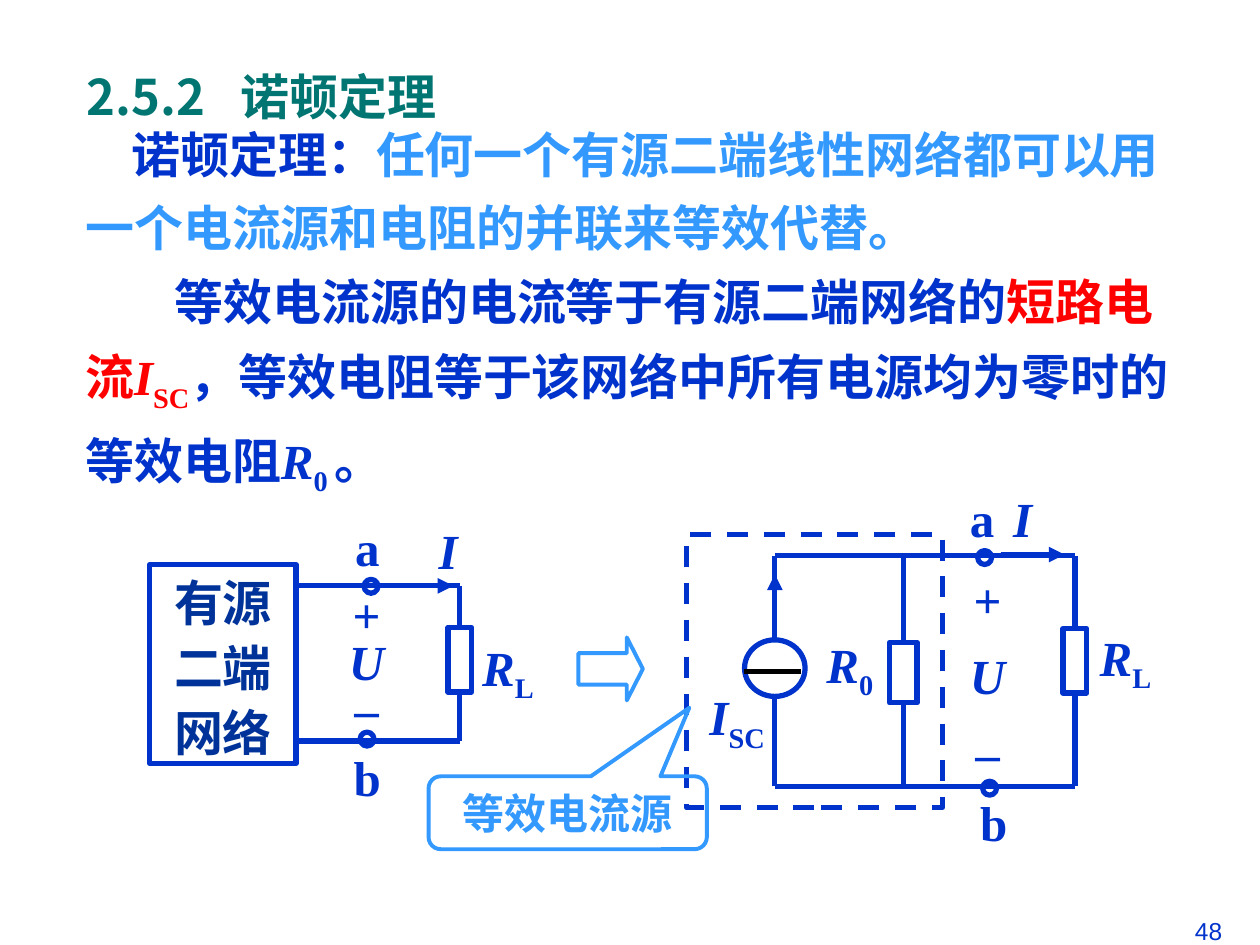
import pptx
import pptx.dml.color
import pptx.enum.dml
import pptx.enum.shapes
import pptx.enum.text
import pptx.oxml.ns
import pptx.util
from lxml import etree

Cm = pptx.util.Cm
Pt = pptx.util.Pt
RGBColor = pptx.dml.color.RGBColor
KIND = pptx.enum.shapes.MSO_SHAPE
STRAIGHT = pptx.enum.shapes.MSO_CONNECTOR.STRAIGHT
ALIGN = pptx.enum.text.PP_ALIGN
MIDDLE = pptx.enum.text.MSO_ANCHOR.MIDDLE
qn = pptx.oxml.ns.qn

BLUE = RGBColor(0x00, 0x33, 0xCC)
NAVY = RGBColor(0x00, 0x33, 0x99)
SKY = RGBColor(0x33, 0x99, 0xFF)
GREEN = RGBColor(0x00, 0x75, 0x72)
RED = RGBColor(0xFF, 0x00, 0x00)
BLACK = RGBColor(0x00, 0x00, 0x00)
WHITE = RGBColor(0xFF, 0xFF, 0xFF)
SERIF = "Times New Roman"
HAN = "Noto Sans CJK SC"

deck = pptx.Presentation()
deck.slide_width = Cm(25.4)
deck.slide_height = Cm(19.05)
page = deck.slides.add_slide(deck.slide_layouts[6])
shapes = page.shapes


def write(box, paras, align=ALIGN.LEFT, spacing=None, size=28, font=SERIF, bold=True, wrap=False):
    """Fill a box; each paragraph is a list of (text, colour, style), style being "", "italic" or "sub"."""
    frame = box.text_frame
    frame.word_wrap = wrap
    for number, spans in enumerate(paras):
        para = frame.add_paragraph() if number else frame.paragraphs[0]
        para.alignment = align
        para.line_spacing = spacing
        for text, colour, style in spans:
            span = para.add_run()
            span.text = text
            span.font.size = Pt(size)
            span.font.bold = bold
            span.font.italic = style == "italic"
            span.font.color.rgb = colour
            span.font.name = font
            properties = span._r.get_or_add_rPr()
            etree.SubElement(properties, qn("a:ea"), typeface=HAN)
            if style == "sub":
                properties.set("baseline", "-25000")


def outline(kind, left, top, width, height, colour=BLUE, weight=3):
    shape = shapes.add_shape(kind, Cm(left), Cm(top), Cm(width), Cm(height))
    shape.shadow.inherit = False
    shape.fill.background()
    shape.line.color.rgb = colour
    shape.line.width = Pt(weight)
    return shape


# Page number, heading and body
number_box = shapes.add_textbox(Cm(18.54), Cm(18.34), Cm(6.35), Cm(1.32))
write(number_box, [[("48", BLUE, "")]], ALIGN.RIGHT, size=14, font="Arial", bold=False, wrap=True)

heading = shapes.add_textbox(Cm(1.5), Cm(1.22), Cm(10.41), Cm(1.7))
write(heading, [[("2.5.2\t诺顿定理", GREEN, "")]], font=HAN, wrap=True)
tabs = etree.SubElement(heading.text_frame.paragraphs[0]._p.get_or_add_pPr(), qn("a:tabLst"))
etree.SubElement(tabs, qn("a:tab"), pos=str(Cm(3.1)), algn="l")

body = shapes.add_textbox(Cm(1.47), Cm(2.08), Cm(22.86), Cm(8.08))
body.text_frame.vertical_anchor = MIDDLE
write(body, [
    [("诺顿定理：", BLUE, ""),
     ("任何一个有源二端线性网络都可以用一个电流源和电阻的并联来等效代替。", SKY, "")],
    [("等效电流源的电流等于有源二端网络的", BLUE, ""), ("短路电流", RED, ""),
     ("I", RED, "italic"), ("SC", RED, "sub"),
     ("，等效电阻等于该网络中所有电源均为零时的等效电阻", BLUE, ""),
     ("R", BLUE, "italic"), ("0 ", BLUE, "sub"), ("。", BLUE, "")],
], spacing=1.25, wrap=True)
for para, indent in zip(body.text_frame.paragraphs, (0.93, 1.8)):
    para._p.get_or_add_pPr().set("indent", str(Cm(indent)))

# Frames around the circuits
source_frame = outline(KIND.RECTANGLE, 13.84, 10.77, 5.16, 5.51)
source_frame.line.dash_style = pptx.enum.dml.MSO_LINE.DASH

callout = outline(KIND.ROUNDED_RECTANGULAR_CALLOUT, 8.64, 15.65, 5.61, 1.47, SKY, 2.25)
for index, value in enumerate((0.437, -1.44, 0.167)):
    callout.adjustments[index] = value
write(callout, [[("等效电流源", SKY, "")]], ALIGN.CENTER, size=24)

network = outline(KIND.RECTANGLE, 3.02, 11.38, 2.95, 4.01)
write(network, [[(line, NAVY, "")] for line in ("有源", "二端", "网络")], ALIGN.CENTER, 1.1)
for shape in (callout, network):
    shape.text_frame.vertical_anchor = MIDDLE

becomes = outline(KIND.RIGHT_ARROW, 11.66, 12.85, 1.3, 1.27, SKY, 2.25)
becomes.fill.solid()
becomes.fill.fore_color.rgb = WHITE
becomes.adjustments[0] = 0.5
becomes.adjustments[1] = 0.255

# Wires: start x, start y, end x, end y, colour, arrowhead, then (shape, site) joined at the end
SOURCE_X, R0_X, RIGHT_X, LEFT_X = 15.62, 18.21, 21.67, 9.27
RIGHT_TOP, RIGHT_BOTTOM, LEFT_TOP, LEFT_BOTTOM = 11.2, 15.85, 11.81, 14.94
wires = [
    (SOURCE_X, RIGHT_TOP, RIGHT_X, RIGHT_TOP, BLUE, False, None),
    (SOURCE_X, RIGHT_BOTTOM, RIGHT_X, RIGHT_BOTTOM, BLUE, False, None),
    (5.97, LEFT_TOP, LEFT_X, LEFT_TOP, BLUE, False, None),
    (5.97, LEFT_BOTTOM, LEFT_X, LEFT_BOTTOM, BLUE, False, None),
    (14.99, 13.54, 16.15, 13.54, BLACK, False, None),
    (20.17, 11.18, 21.46, 11.18, BLUE, True, None),
    (7.85, LEFT_TOP, 9.14, LEFT_TOP, BLUE, True, None),
    (SOURCE_X, 12.85, SOURCE_X, 11.58, BLUE, True, None),
]

# Each part sits on its branch, between the rails above and below; resistors are joined to their wires
for kind, x, top, width, height, upper, lower in (
    (KIND.OVAL, SOURCE_X, 12.9, 1.22, 1.14, RIGHT_TOP, RIGHT_BOTTOM),
    (KIND.RECTANGLE, R0_X, 12.95, 0.56, 1.22, RIGHT_TOP, RIGHT_BOTTOM),
    (KIND.RECTANGLE, RIGHT_X, 12.67, 0.48, 1.3, RIGHT_TOP, RIGHT_BOTTOM),
    (KIND.RECTANGLE, LEFT_X, 12.65, 0.48, 1.3, LEFT_TOP, LEFT_BOTTOM),
):
    part = outline(kind, x - width / 2, top, width, height)
    for rail, edge, site in ((upper, top, 0), (lower, top + height, 2)):
        joint = (part, site) if kind == KIND.RECTANGLE else None
        wires.append((x, rail, x, edge, BLUE, False, joint))

for x1, y1, x2, y2, colour, arrow, joint in wires:
    wire = shapes.add_connector(STRAIGHT, Cm(x1), Cm(y1), Cm(x2), Cm(y2))
    wire.line.color.rgb = colour
    wire.line.width = Pt(3)
    if arrow:
        etree.SubElement(wire.line._get_or_add_ln(), qn("a:tailEnd"), type="triangle")
    etree.SubElement(wire._element.spPr, qn("a:effectLst"))
    if joint:
        wire.end_connect(*joint)

for left, top in ((19.71, 11.1), (19.81, 15.75), (7.34, 11.68), (7.26, 14.76)):
    outline(KIND.OVAL, left, top, 0.28, 0.28)

# Labels: paragraphs, width, alignment, then (left, top, height, line spacing) for each place
terminal_a = [[("a", BLUE, "")]]
terminal_b = [[("b", BLUE, "")]]
current = [[("I", BLUE, "italic")]]
voltage = [[("+", BLUE, "")], [("U", BLUE, "italic")], [("–", BLUE, "")]]
load = [[("R", BLUE, "italic"), ("L", BLUE, "sub")]]
inner = [[("R", BLUE, "italic"), ("0", BLUE, "sub")]]
short_circuit = [[("I", BLUE, "italic"), ("SC", BLUE, "sub")]]
for paras, width, align, places in (
    (terminal_a, 0.99, ALIGN.CENTER, [(19.3, 9.73, 1.45, None), (6.91, 10.31, 1.45, None)]),
    (terminal_b, 1.04, ALIGN.CENTER, [(19.51, 15.85, 1.45, None), (6.88, 14.94, 1.45, None)]),
    (current, 0.89, ALIGN.CENTER, [(20.17, 9.73, 1.45, None), (8.59, 10.36, 1.45, None)]),
    (voltage, 1.22, ALIGN.CENTER, [(19.3, 11, 4.88, 1.3), (6.78, 11.89, 3.1, 0.8)]),
    (load, 1.55, ALIGN.LEFT, [(21.92, 12.52, 1.6, None), (9.47, 12.73, 1.6, None)]),
    (inner, 2.03, ALIGN.LEFT, [(16.41, 12.67, 1.6, None)]),
    (short_circuit, 1.98, ALIGN.CENTER, [(13.87, 13.72, 1.6, None)]),
):
    for left, top, height, spacing in places:
        label = shapes.add_textbox(Cm(left), Cm(top), Cm(width), Cm(height))
        write(label, paras, align, spacing)

deck.save("out.pptx")
